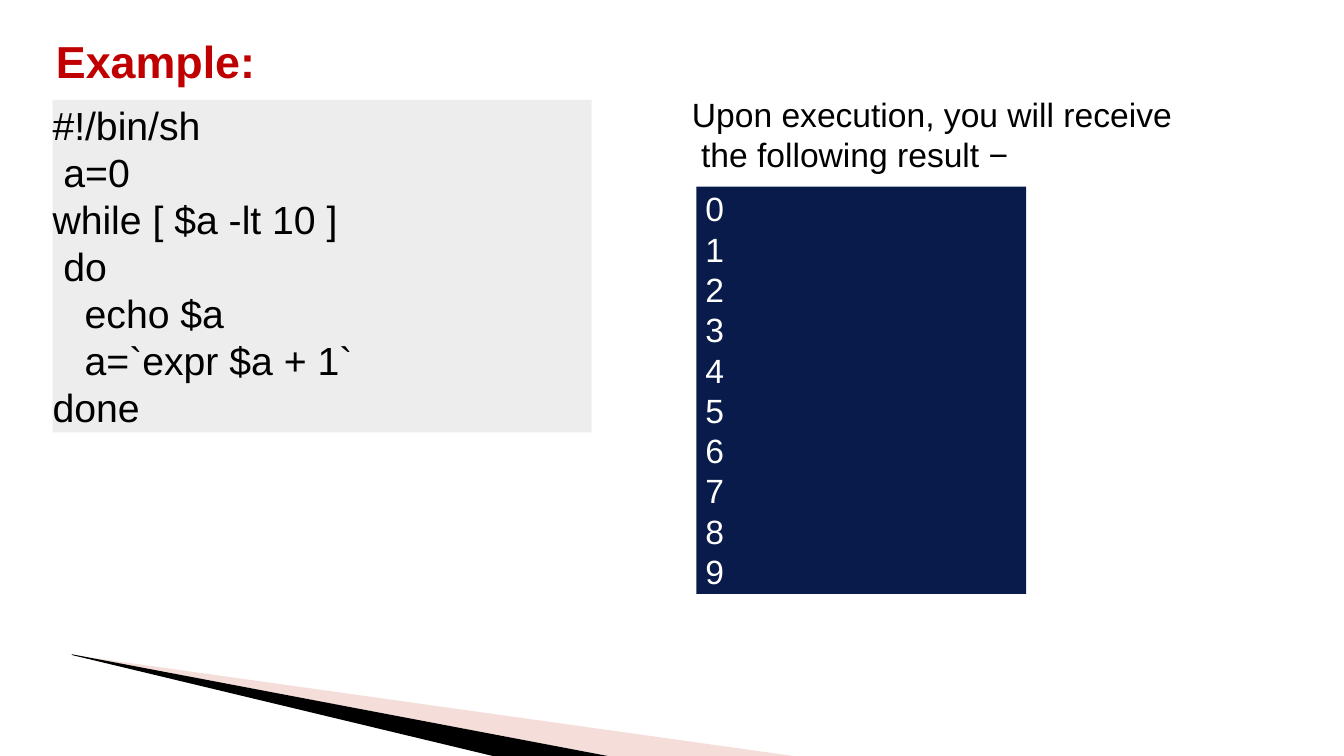
import lxml.etree
import pptx
import pptx.dml.color
import pptx.enum.shapes
import pptx.enum.text
import pptx.oxml.ns
import pptx.util

FONT = "Arial"
LINE_HEIGHT = 1.2  # line pitch as a multiple of the font size


def set_fill(shape, color, opacity=100):
    """Give a shape a plain fill, without outline or shadow."""
    shape.shadow.inherit = False
    shape.line.fill.background()
    shape.fill.solid()
    shape.fill.fore_color.rgb = pptx.dml.color.RGBColor.from_string(color)
    if opacity < 100:
        fill_color = shape.fill._xPr.find(".//" + pptx.oxml.ns.qn("a:srgbClr"))
        alpha = lxml.etree.SubElement(fill_color, pptx.oxml.ns.qn("a:alpha"))
        alpha.set("val", str(opacity * 1000))


def add_wedge(slide, points, color, opacity=100):
    corners = [(pptx.util.Pt(x), pptx.util.Pt(y)) for x, y in points]
    builder = slide.shapes.build_freeform(*corners[0])
    builder.add_line_segments(corners[1:], close=True)
    set_fill(builder.convert_to_shape(), color, opacity)


def write_lines(shape, lines, size, color, space_before, bold=False):
    """Write one paragraph per (indent, text) pair."""
    frame = shape.text_frame
    frame.word_wrap = True
    frame.vertical_anchor = pptx.enum.text.MSO_ANCHOR.TOP
    frame.margin_left = frame.margin_right = frame.margin_bottom = 0
    frame.margin_top = pptx.util.Pt(1)
    for index, (indent, text) in enumerate(lines):
        paragraph = frame.add_paragraph() if index else frame.paragraphs[0]
        paragraph.alignment = pptx.enum.text.PP_ALIGN.LEFT
        paragraph.line_spacing = pptx.util.Pt(size * LINE_HEIGHT)
        paragraph.space_before = pptx.util.Pt(0 if index else space_before)
        paragraph._p.get_or_add_pPr().set("marL", str(pptx.util.Pt(indent)))
        run = paragraph.add_run()
        run.text = text
        run.font.name = FONT
        run.font.size = pptx.util.Pt(size)
        run.font.bold = bold
        run.font.color.rgb = pptx.dml.color.RGBColor.from_string(color)


def add_text(slide, box, lines, size, color, space_before, bold=False):
    shape = slide.shapes.add_textbox(*map(pptx.util.Pt, box))
    write_lines(shape, lines, size, color, space_before, bold)


def add_panel(slide, box, fill, lines, size, color, space_before):
    shape = slide.shapes.add_shape(
        pptx.enum.shapes.MSO_SHAPE.RECTANGLE, *map(pptx.util.Pt, box))
    set_fill(shape, fill)
    write_lines(shape, lines, size, color, space_before)


def main():
    presentation = pptx.Presentation()
    presentation.slide_width = pptx.util.Pt(960)
    presentation.slide_height = pptx.util.Pt(540)
    slide = presentation.slides.add_slide(presentation.slide_layouts[6])

    # Corner decoration
    pink = [(52.6, 468), (52.6, 468.7), (61.2, 469.4), (434.2, 540), (566.6, 540)]
    black = [(51.1, 467.3), (51.8, 468), (352.1, 540), (434.2, 540)]
    add_wedge(slide, pink, "E7ACA3", opacity=40)
    add_wedge(slide, black, "000000")

    # Title
    add_text(slide, (39, 23, 144, 40.3), [(1, "Example:")],
             32, "C00000", 1.1, bold=True)

    # Shell script
    code = [
        (0, "#!/bin/sh"),
        (7.8, "a=0"),
        (0, "while [ $a -lt 10 ]"),
        (7.8, "do"),
        (23, "echo $a"),
        (23, "a=`expr $a + 1`"),
        (0, "done"),
    ]
    add_panel(slide, (37.5, 71.3, 385.2, 237.6), "EDEDED", code, 28, "000000", 0.4)

    # Result of the script
    caption = [(1, "Upon execution, you will receive"), (7.6, "the following result −")]
    add_text(slide, (493.2, 66.2, 344.9, 59.8), caption, 24, "000000", 1)
    output = [(6.5, str(number)) for number in range(10)]
    add_panel(slide, (497.4, 133.4, 235.6, 290.9), "081B4A", output, 24, "FFFFFF", 0.8)

    presentation.save("out.pptx")


if __name__ == "__main__":
    main()
